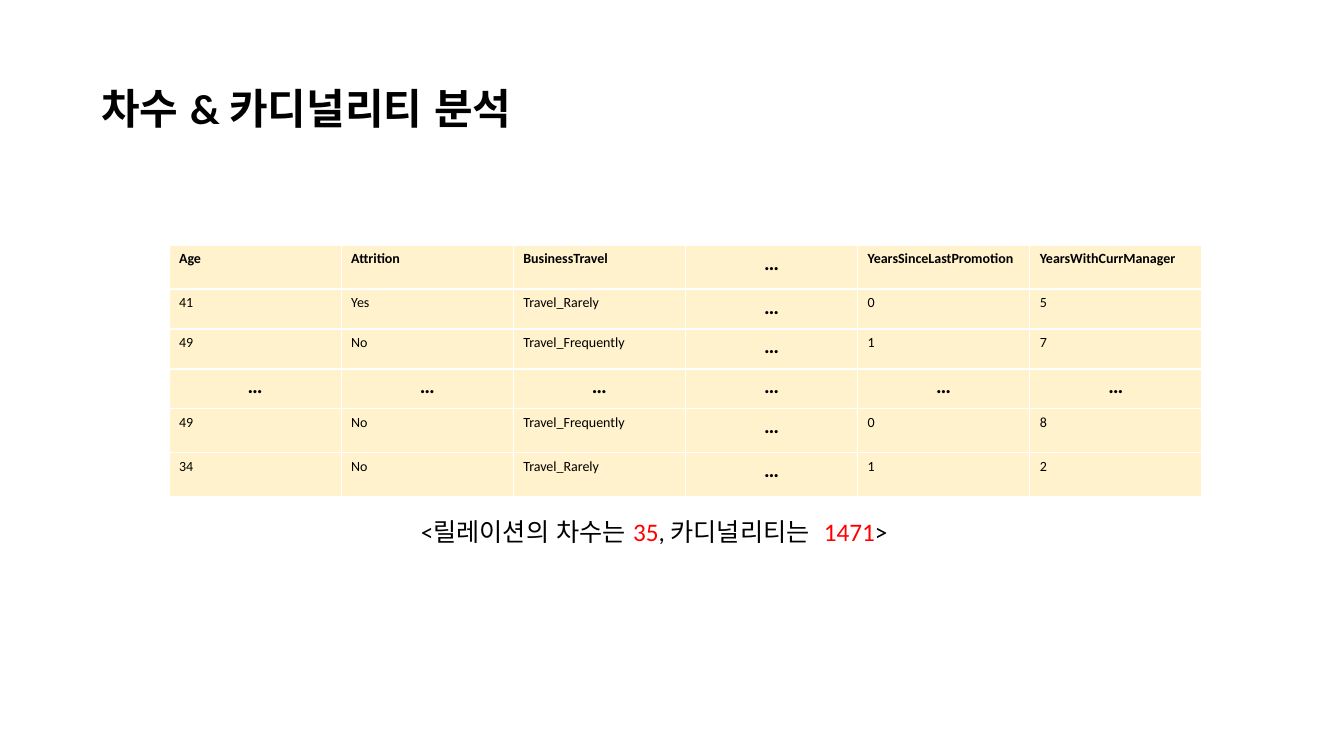
from pptx import Presentation
from pptx.dml.color import RGBColor
from pptx.enum.lang import MSO_LANGUAGE_ID
from pptx.enum.text import MSO_ANCHOR, MSO_AUTO_SIZE, PP_ALIGN
from pptx.util import Emu, Pt

COLORS = {"text": "000000", "mark": "FF0000", "cell": "FFF2CC"}
DOTS = "…"


def px(n):
    return Emu(round(n * 914400 / 100.8))


def write(para, text, size, bold=False, color="text"):
    run = para.add_run()
    run.text = text
    style = {"name": "Calibri", "size": Pt(size), "bold": bold,
             "language_id": MSO_LANGUAGE_ID.KOREAN}
    for key, value in style.items():
        setattr(run.font, key, value)
    run.font.color.rgb = RGBColor.from_string(COLORS[color])


deck = Presentation()
deck.slide_width, deck.slide_height = px(1344), px(756)
slide = deck.slides.add_slide(deck.slide_layouts[5])
shapes = slide.shapes

# Title and caption
title = shapes.title
note = shapes.add_textbox(px(411), px(511), px(521), px(40))
spots = {"left": px(91), "top": px(77), "width": px(470), "height": px(61)}
for key, value in spots.items():
    setattr(title, key, value)
frame = {"word_wrap": False, "auto_size": MSO_AUTO_SIZE.SHAPE_TO_FIT_TEXT,
         "vertical_anchor": MSO_ANCHOR.TOP}
for box in (title, note):
    for key, value in frame.items():
        setattr(box.text_frame, key, value)
    box.text_frame.paragraphs[0].alignment = PP_ALIGN.LEFT

write(title.text_frame.paragraphs[0], "차수 & 카디널리티 분석", 30, True)
parts = [("<릴레이션의 차수는 ", "text"), ("35", "mark"),
         (", 카디널리티는  ", "text"), ("1471", "mark"), (">", "text")]
for text, color in parts:
    write(note.text_frame.paragraphs[0], text, 18, color=color)

# Table of sample rows
rows = [
    ["Age", "Attrition", "BusinessTravel", DOTS,
     "YearsSinceLastPromotion", "YearsWithCurrManager"],
    ["41", "Yes", "Travel_Rarely", DOTS, "0", "5"],
    ["49", "No", "Travel_Frequently", DOTS, "1", "7"],
    [DOTS] * 6,
    ["49", "No", "Travel_Frequently", DOTS, "0", "8"],
    ["34", "No", "Travel_Rarely", DOTS, "1", "2"],
]
highs = [44, 40, 40, 40, 44, 44]
table = shapes.add_table(len(rows), len(rows[0]), px(169), px(245),
                         px(1033), px(sum(highs))).table
table.horz_banding = False
for r, (row, high) in enumerate(zip(rows, highs)):
    table.rows[r].height = px(high)
    for c, text in enumerate(row):
        cell = table.cell(r, c)
        cell.fill.solid()
        cell.fill.fore_color.rgb = RGBColor.from_string(COLORS["cell"])
        para = cell.text_frame.paragraphs[0]
        gap = text == DOTS
        para.alignment = PP_ALIGN.CENTER if gap else PP_ALIGN.LEFT
        write(para, text, 15 if gap else 10, gap or r == 0)

deck.save("out.pptx")
